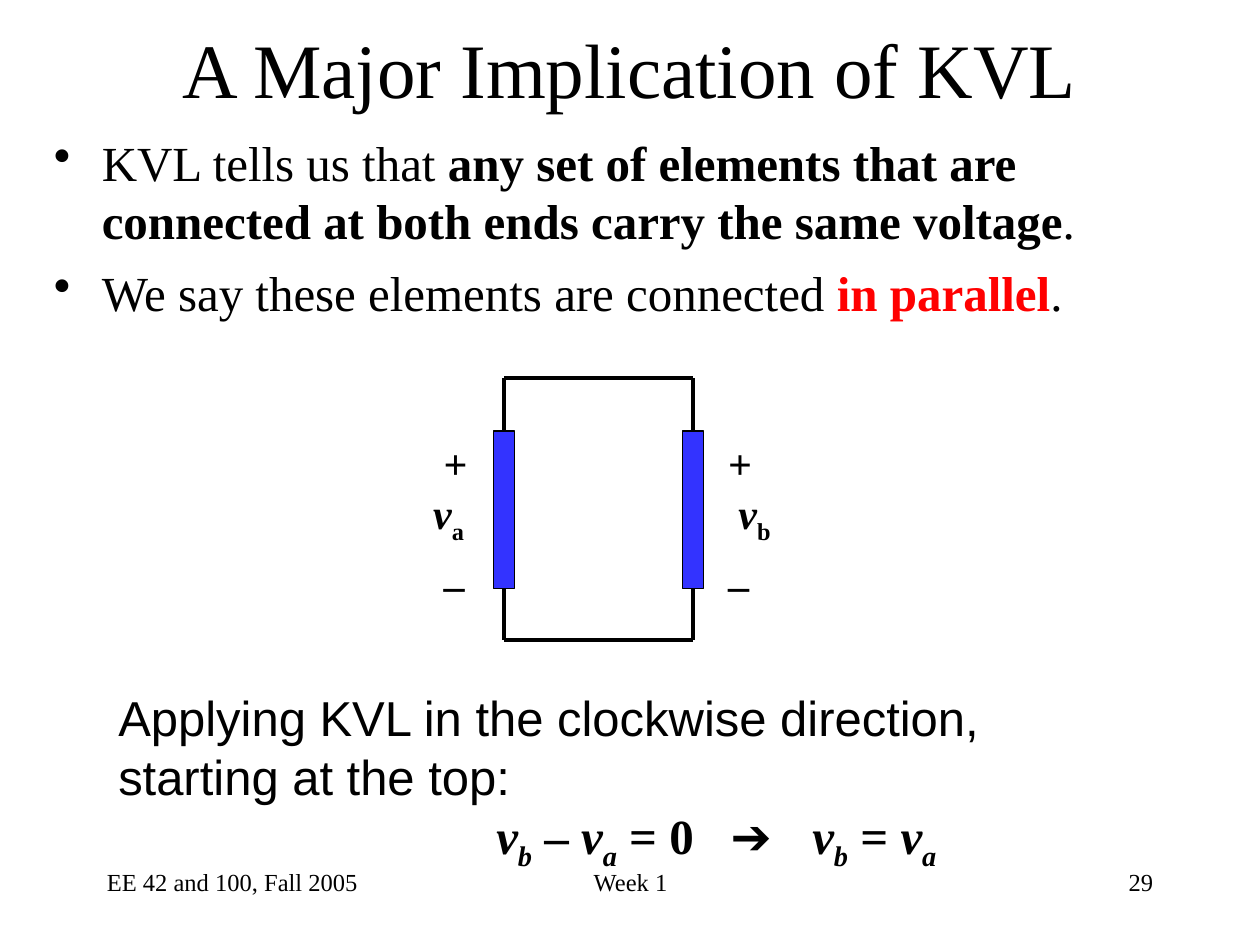
"""Build the slide on what KVL implies for elements connected in parallel."""
from lxml import etree
from pptx import Presentation
from pptx import util as u
from pptx.dml.color import RGBColor
from pptx.enum import shapes, text
from pptx.oxml.ns import qn

BLACK = RGBColor(0x00, 0x00, 0x00)
RED = RGBColor(0xFF, 0x00, 0x00)
BLUE = RGBColor(0x33, 0x33, 0xFF)
SERIF, SANS = "Times New Roman", "Arial"
LEFT, CENTER, RIGHT = text.PP_ALIGN.LEFT, text.PP_ALIGN.CENTER, text.PP_ALIGN.RIGHT

TITLE = "A Major Implication of KVL"
FOOTERS = [
    ("EE 42 and 100, Fall 2005", (0.75, 6.83, 2.33, 0.5), LEFT),
    ("Week 1", (3.42, 6.83, 3.17, 0.5), CENTER),
    ("29", (7.17, 6.83, 2.08, 0.5), RIGHT),
]
BULLETS = [
    [("KVL tells us that ", ""),
     ("any set of elements that are connected at both ends carry the same voltage", "b"),
     (".", "")],
    [("We say these elements are connected ", ""), ("in parallel", "br"), (".", "")],
]
DERIVATION = ["Applying KVL in the clockwise direction,", "starting at the top:"]
EQUATION = [("\tv", "bi"), ("b", "bis"), (" – ", "b"), ("v", "bi"), ("a", "bis"),
            (" = 0   ", "b"), ("➔   ", "ba"), ("v", "bi"), ("b", "bis"),
            (" = ", "b"), ("v", "bi"), ("a", "bis")]
VOLTAGES = [
    ((3.34, 3.42, 0.47, 1.36), [[(" +", "")], [("v", "i"), ("a", "s")], [(" _", "")]]),
    ((5.68, 3.42, 0.54, 1.36), [[("+", "")], [(" v", "i"), ("b", "s")], [("_", "")]]),
]
BRANCHES = [4, 5.5]
WIRE_TOP, ELEMENT_TOP, ELEMENT_BOTTOM, WIRE_BOTTOM = 3, 3.42, 4.67, 5.08
ELEMENT_WIDTH = 0.17


def set_font(paragraph, size, name=SERIF, bold=None):
    font = paragraph.font
    font.size, font.name, font.bold = u.Pt(size), name, bold
    font.color.rgb = BLACK


def add_runs(paragraph, parts):
    """Add runs styled by letters: b bold, i italic, s subscript, r red, a Arial."""
    for wording, style in parts:
        run = paragraph.add_run()
        run.text = wording
        if "b" in style:
            run.font.bold = True
        if "i" in style:
            run.font.italic = True
        if "s" in style:
            run.font._element.set("baseline", "-25000")
        if "r" in style:
            run.font.color.rgb = RED
        if "a" in style:
            run.font.name = SANS


def add_frame(slide, place, wrap=True):
    frame = slide.shapes.add_textbox(*map(u.Inches, place)).text_frame
    frame.word_wrap = wrap
    return frame


def next_paragraph(frame, index):
    return frame.add_paragraph() if index else frame.paragraphs[0]


def add_wire(parent, start, end):
    wire = parent.shapes.add_connector(
        shapes.MSO_CONNECTOR.STRAIGHT, *map(u.Inches, (*start, *end)))
    wire.line.color.rgb = BLACK
    wire.line.width = u.Pt(2.25)
    etree.SubElement(wire._element.spPr, qn("a:effectLst"))
    return wire


def add_branch(slide, x):
    branch = slide.shapes.add_group_shape()
    element = branch.shapes.add_shape(
        shapes.MSO_SHAPE.RECTANGLE, u.Inches(x - ELEMENT_WIDTH / 2), u.Inches(ELEMENT_TOP),
        u.Inches(ELEMENT_WIDTH), u.Inches(ELEMENT_BOTTOM - ELEMENT_TOP))
    element.shadow.inherit = False
    element.fill.solid()
    element.fill.fore_color.rgb = BLUE
    element.line.color.rgb = BLACK
    element.line.width = u.Pt(0.75)
    add_wire(branch, (x, WIRE_TOP), (x, ELEMENT_TOP)).end_connect(element, 0)
    add_wire(branch, (x, ELEMENT_BOTTOM), (x, WIRE_BOTTOM)).begin_connect(element, 2)


def add_title(slide):
    title = slide.shapes.title
    title.left, title.top, title.width, title.height = map(u.Inches, (0.5, 0.25, 9, 0.58))
    frame = title.text_frame
    frame.text = TITLE
    frame.vertical_anchor = text.MSO_ANCHOR.MIDDLE
    frame.auto_size = text.MSO_AUTO_SIZE.NONE
    frame.paragraphs[0].alignment = CENTER
    set_font(frame.paragraphs[0], 44)


def add_bullets(slide):
    frame = add_frame(slide, (0.33, 1, 9.5, 5.7))
    for index, parts in enumerate(BULLETS):
        paragraph = next_paragraph(frame, index)
        if index:
            paragraph.space_before = u.Pt(7)
        properties = paragraph._p.get_or_add_pPr()
        properties.set("marL", str(u.Inches(0.38)))
        properties.set("indent", str(u.Inches(-0.38)))
        etree.SubElement(properties, qn("a:buChar"), char="•")
        set_font(paragraph, 28)
        add_runs(paragraph, parts)


def add_derivation(slide):
    frame = add_frame(slide, (0.84, 5.41, 7.15, 1.57), wrap=False)
    for index, line in enumerate(DERIVATION):
        paragraph = next_paragraph(frame, index)
        set_font(paragraph, 28, SANS)
        add_runs(paragraph, [(line, "")])
    equation = frame.add_paragraph()
    tabs = etree.SubElement(equation._p.get_or_add_pPr(), qn("a:tabLst"))
    etree.SubElement(tabs, qn("a:tab"), pos=str(u.Inches(3)), algn="l")
    set_font(equation, 28)
    add_runs(equation, EQUATION)


def main():
    deck = Presentation()
    deck.slide_width, deck.slide_height = u.Inches(10), u.Inches(7.5)
    slide = deck.slides.add_slide(deck.slide_layouts[5])
    for wording, place, alignment in FOOTERS:
        paragraph = add_frame(slide, place).paragraphs[0]
        paragraph.alignment = alignment
        set_font(paragraph, 14)
        add_runs(paragraph, [(wording, "")])
    add_title(slide)
    add_bullets(slide)
    add_derivation(slide)
    for x in BRANCHES:
        add_branch(slide, x)
    for y in (WIRE_TOP, WIRE_BOTTOM):
        add_wire(slide, (BRANCHES[0], y), (BRANCHES[1], y))
    for place, lines in VOLTAGES:
        frame = add_frame(slide, place, wrap=False)
        for index, parts in enumerate(lines):
            paragraph = next_paragraph(frame, index)
            set_font(paragraph, 24, bold=True)
            add_runs(paragraph, parts)
    deck.save("out.pptx")


if __name__ == "__main__":
    main()
